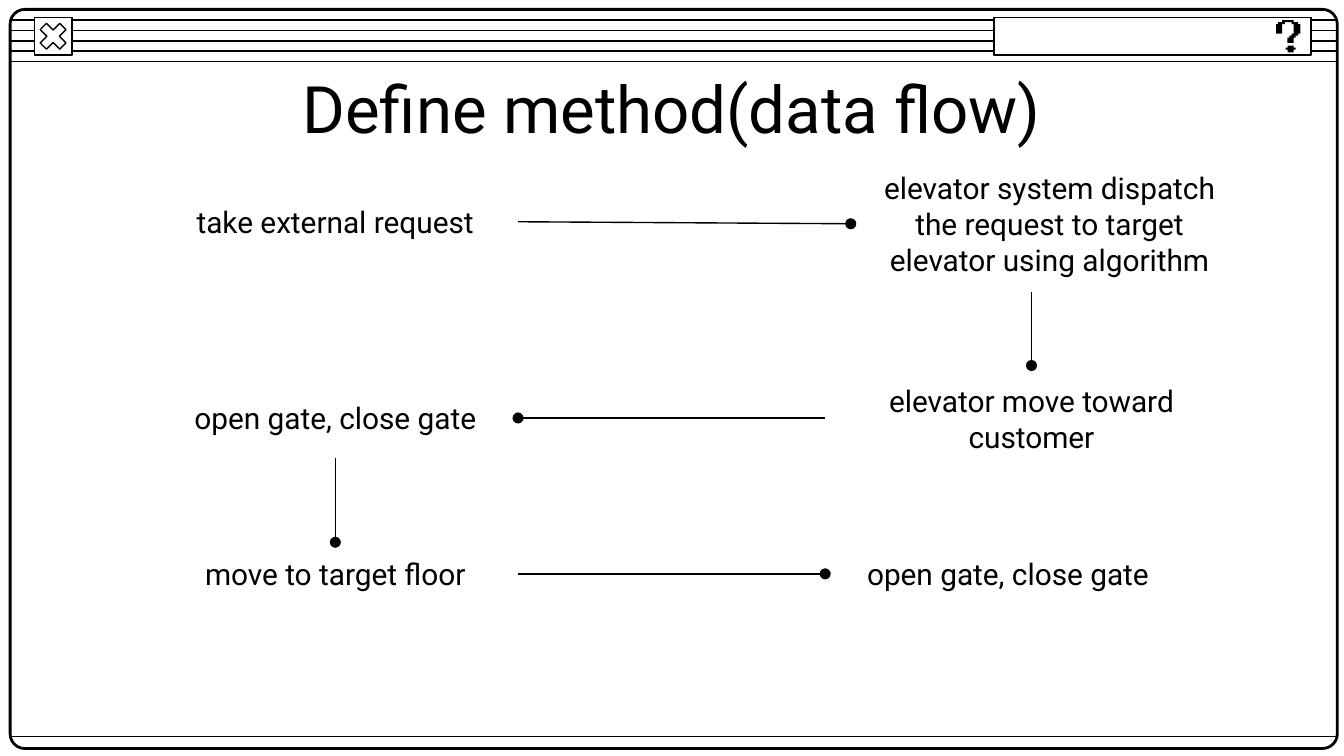
from lxml import etree
from pptx import Presentation
from pptx.dml.color import RGBColor
from pptx.enum.shapes import MSO_CONNECTOR, MSO_SHAPE
from pptx.enum.text import MSO_ANCHOR, PP_ALIGN
from pptx.oxml.ns import qn
from pptx.util import Pt

PX = 4572
RECT = MSO_SHAPE.RECTANGLE
ROUND = MSO_SHAPE.ROUNDED_RECTANGLE
CROSS = MSO_SHAPE.MATH_MULTIPLY
STRAIGHT = MSO_CONNECTOR.STRAIGHT
MIDDLE = MSO_ANCHOR.MIDDLE
CENTER = PP_ALIGN.CENTER
BLACK = "000000"
WHITE = "FFFFFF"
FONT = "Roboto"

FRAME = {
    "word_wrap": True,
    "vertical_anchor": MIDDLE,
    "margin_left": 20 * PX,
    "margin_right": 20 * PX,
    "margin_top": 20 * PX,
    "margin_bottom": 20 * PX,
}

STRIPES = [30, 45, 61, 76, 92, 1096]

DOT = [
    (1916, 68), (1916, 71), (1913, 71), (1913, 74), (1916, 74), (1916, 78),
    (1925, 78), (1925, 74), (1928, 74), (1928, 71), (1925, 71), (1925, 68),
]
HOOK = [
    (1908, 30), (1908, 33), (1902, 33), (1902, 36), (1899, 36), (1899, 50),
    (1908, 50), (1908, 36), (1912, 36), (1912, 33), (1922, 33), (1922, 36),
    (1925, 36), (1925, 50), (1922, 50), (1922, 53), (1919, 53), (1919, 56),
    (1916, 56), (1916, 64), (1925, 64), (1925, 56), (1928, 56), (1928, 53),
    (1932, 53), (1932, 50), (1935, 50), (1935, 36), (1932, 36), (1932, 33),
    (1925, 33), (1925, 30),
]

STEPS = [
    ("move to target floor", (227, 807, 544, 94)),
    ("open gate, close gate", (1228, 807, 544, 94)),
    ("take external request", (113, 283, 772, 94)),
    ("elevator system dispatch the request to target elevator using algorithm",
     (1266, 142, 592, 382)),
    ("open gate, close gate", (227, 574, 544, 94)),
    ("elevator move toward customer", (1228, 545, 614, 156)),
]

FLOWS = [
    (771, 330, 1266, 333),
    (1535, 434, 1535, 544),
    (1228, 622, 771, 622),
    (499, 682, 499, 807),
    (771, 854, 1228, 854),
]


def scale(nums):
    return [num * PX for num in nums]


def color(text):
    return RGBColor.from_string(text)


def apply(item, values):
    for name, value in values.items():
        setattr(item, name, value)


def paint(shape, fill):
    shape.shadow.inherit = False
    if fill:
        shape.fill.solid()
        shape.fill.fore_color.rgb = color(fill)
    else:
        shape.fill.background()


def stroke(item, width):
    item.line.color.rgb = color(BLACK)
    item.line.width = Pt(width)


def add_line(slide, ends, dot=False):
    line = slide.shapes.add_connector(STRAIGHT, *scale(ends))
    stroke(line, 0.75)
    if dot:
        edge = line._element.spPr.find(qn("a:ln"))
        etree.SubElement(edge, qn("a:tailEnd")).set("type", "oval")
    etree.SubElement(line._element.spPr, qn("a:effectLst"))


def add_box(slide, kind, box, fill=WHITE, width=0.75, adjust=None):
    shape = slide.shapes.add_shape(kind, *scale(box))
    paint(shape, fill)
    stroke(shape, width)
    if adjust is not None:
        shape.adjustments[0] = adjust


def add_glyph(slide, points):
    pen = slide.shapes.build_freeform(*points[0], scale=PX)
    pen.add_line_segments(points[1:], close=True)
    shape = pen.convert_to_shape()
    paint(shape, BLACK)
    shape.line.fill.background()


def add_text(slide, text, box, size):
    frame = slide.shapes.add_textbox(*scale(box)).text_frame
    apply(frame, FRAME)
    para = frame.paragraphs[0]
    para.alignment = CENTER
    run = para.add_run()
    run.text = text
    apply(run.font, {"name": FONT, "size": Pt(size)})
    run.font.color.rgb = color(BLACK)


def add_window(slide):
    for top in STRIPES:
        add_line(slide, (16, top, 1990, top))
    add_box(slide, ROUND, (15, 14, 1975, 1100), None, 1.5, 0.02)
    add_box(slide, RECT, (51, 26, 56, 56))
    add_box(slide, CROSS, (51, 26, 56, 56), adjust=0.235)
    add_box(slide, RECT, (1479, 26, 472, 56))
    for points in (DOT, HOOK):
        add_glyph(slide, points)


def main():
    deck = Presentation()
    apply(deck, {"slide_width": 2000 * PX, "slide_height": 1125 * PX})
    slide = deck.slides.add_slide(deck.slide_layouts[6])
    add_window(slide)
    add_text(slide, "Define method(data flow)", (157, 97, 1686, 126), 35)
    for text, box in STEPS:
        add_text(slide, text, box, 16)
    for ends in FLOWS:
        add_line(slide, ends, dot=True)
    deck.save("out.pptx")


if __name__ == "__main__":
    main()
